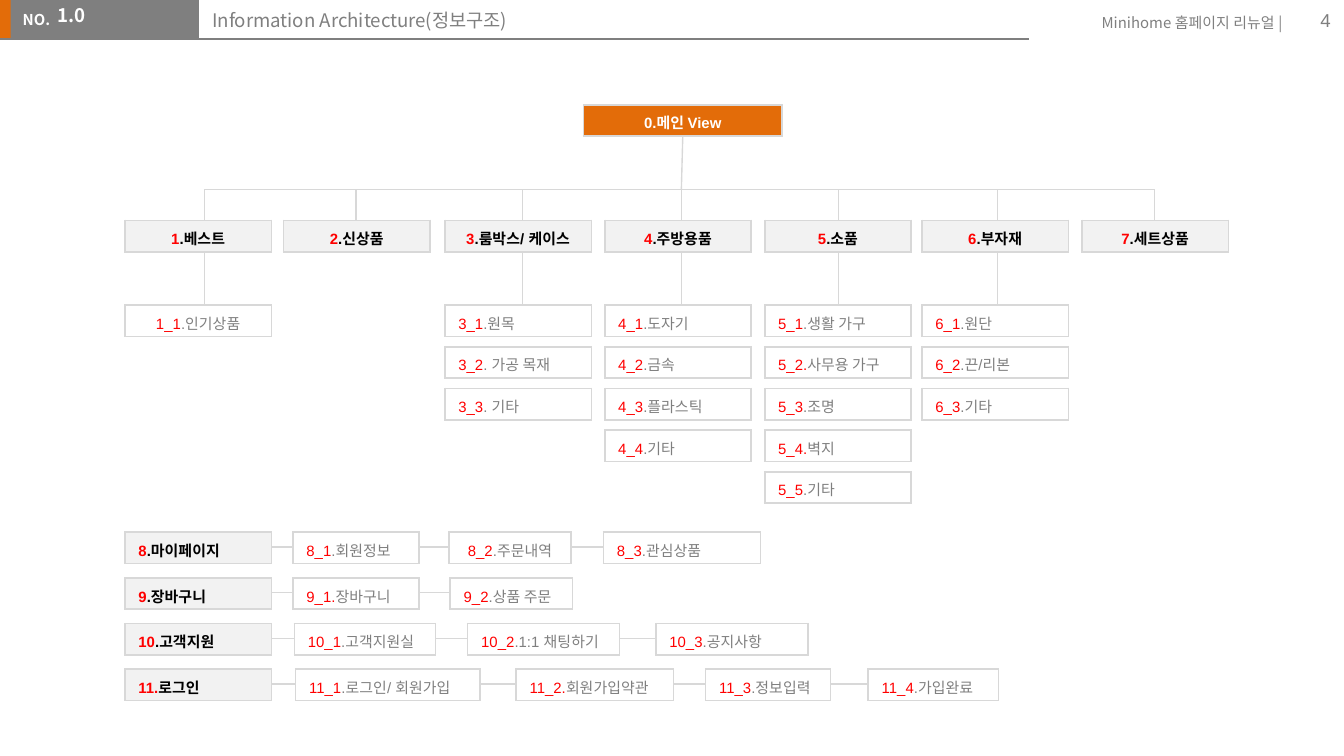
from lxml.etree import SubElement
from pptx import Presentation
from pptx.dml.color import RGBColor
from pptx.enum.shapes import MSO_CONNECTOR, MSO_SHAPE
from pptx.enum.text import MSO_ANCHOR, PP_ALIGN
from pptx.oxml.ns import qn
from pptx.util import Inches, Pt

ORANGE = RGBColor(0xE3, 0x6C, 0x09)
GRAY = RGBColor(0x7F, 0x7F, 0x7F)
PALE = RGBColor(0xF2, 0xF2, 0xF2)
EDGE = RGBColor(0xD8, 0xD8, 0xD8)
RED = RGBColor(0xFF, 0, 0)
BLACK = RGBColor(0, 0, 0)
WHITE = RGBColor(0xFF, 0xFF, 0xFF)
SANS, ARIAL = "Noto Sans CJK KR", "Arial"
LEFT, MID, RIGHT = PP_ALIGN.LEFT, PP_ALIGN.CENTER, PP_ALIGN.RIGHT
CELL_H, ROW_H = 0.23, 0.14

# Each branch: heading, leaves, left offset, stem offset, leaf alignment
TREE = [
    ("1|.베스트", ["1_1|.인기상품"], 0, 0.59, MID),
    ("2|.신상품", [], 1.18, 1.72, LEFT),
    ("3|.룸박스/ 케이스", ["3_1|.원목", "3_2|. 가공 목재", "3_3|. 기타"], 2.38, 2.96, LEFT),
    ("4|.주방용품", ["4_1|.도자기", "4_2|.금속", "4_3|.플라스틱", "4_4|.기타"], 3.57, 4.14, LEFT),
    ("5|.소품", ["5_1|.생활 가구", "5_2.|사무용 가구", "5_3|.조명", "5_4.|벽지",
               "5_5|.기타"], 4.76, 5.31, LEFT),
    ("6|.부자재", ["6_1|.원단", "6_2|.끈/리본", "6_3|.기타"], 5.93, 6.49, LEFT),
    ("7|.세트상품", [], 7.12, 7.66, LEFT),
]
# Each row: heading, steps as (text, left, width, alignment)
ROWS = [
    ("8|.마이페이지", [("8_1|.회원정보", 2.18, 0.94, LEFT), ("8_2|.주문내역", 3.34, 0.91, MID),
                  ("8_3|.관심상품", 4.49, 1.17, LEFT)]),
    ("9|.장바구니", [("9_1.|장바구니", 2.18, 0.94, LEFT), ("9_2|.상품 주문", 3.35, 0.91, LEFT)]),
    ("10|.고객지원", [("10_1|.고객지원실", 2.19, 1.05, LEFT), ("10_2|.1:1 채팅하기", 3.48, 1.13, LEFT),
                  ("10_3|.공지사항", 4.88, 1.13, LEFT)]),
    ("11.|로그인", [("11_1|.로그인/ 회원가입", 2.2, 1.37, LEFT), ("11_2.|회원가입약관", 3.84, 1.17, LEFT),
                 ("11_3|.정보입력", 5.25, 0.93, LEFT), ("11_4|.가입완료", 6.46, 0.97, LEFT)]),
]


def write(par, text, color, size=8, face=ARIAL, bold=False):
    """Add one formatted run to a paragraph."""
    run = par.add_run()
    run.text = text
    for key, val in {"size": Pt(size), "name": face, "bold": bold}.items():
        setattr(run.font, key, val)
    run.font.color.rgb = color
    SubElement(run.font._element, qn("a:ea")).set("typeface", SANS)


def line(slide, x1, y1, x2, y2, color=EDGE):
    """Draw a thin straight line."""
    link = slide.shapes.add_connector(
        MSO_CONNECTOR.STRAIGHT, *map(Inches, (x1, y1, x2, y2)))
    link.line.color.rgb = color
    link.line.width = Pt(0.75)
    SubElement(link._element.spPr, qn("a:effectLst"))


def edge(cell):
    """Give a cell a one point border on every side."""
    props = cell._tc.get_or_add_tcPr()
    for side in ("lnL", "lnR", "lnT", "lnB"):
        rule = SubElement(props, qn("a:" + side), w=str(Pt(1)))
        fill = SubElement(rule, qn("a:solidFill"))
        SubElement(fill, qn("a:srgbClr"), val=str(EDGE))


def node(slide, x, y, w, parts, fill=WHITE, align=LEFT, bold=False):
    """Place a one-cell table holding (text, colour) parts."""
    frame = slide.shapes.add_table(1, 1, *map(Inches, (x, y, w, CELL_H)))
    frame.table.rows[0].height = Inches(ROW_H)
    frame.height = Inches(CELL_H)
    cell = frame.table.cell(0, 0)
    edge(cell)
    cell.fill.solid()
    cell.fill.fore_color.rgb = fill
    par = cell.text_frame.paragraphs[0]
    par.alignment = align
    for text, color in parts:
        write(par, text, color, bold=bold)


def head(slide, x, y, w, text, align):
    """Place a bold section heading."""
    num, name = text.split("|")
    node(slide, x, y, w, [(num, RED), (name, BLACK)], PALE, align, True)


def leaf(slide, x, y, w, text, align):
    """Place a page entry."""
    num, name = text.split("|")
    node(slide, x, y, w, [(num, RED), (name, GRAY)], WHITE, align)


def label(shape, box, text, color, size=8, face=SANS, bold=False, align=LEFT,
          top=0.05, low=0.05, left=0.1, anchor=MSO_ANCHOR.TOP):
    """Move a text shape to its box and fill it."""
    for key, val in zip(("left", "top", "width", "height"), box):
        setattr(shape, key, Inches(val))
    frame = shape.text_frame
    form = {"word_wrap": True, "vertical_anchor": anchor,
            "margin_left": Inches(left), "margin_right": Inches(0.1),
            "margin_top": Inches(top), "margin_bottom": Inches(low)}
    for key, val in form.items():
        setattr(frame, key, val)
    par = frame.paragraphs[0]
    par.alignment = align
    write(par, text, color, size, face, bold)


def banner(slide, w, h):
    """Build the top strip across a width w, of height h."""
    for x, wide, color in ((-0.01, 0.12, ORANGE), (0.08, 1.4, GRAY)):
        bar = slide.shapes.add_shape(
            MSO_SHAPE.RECTANGLE, *map(Inches, (x, 0, wide, h)))
        bar.shadow.inherit = False
        bar.fill.solid()
        bar.fill.fore_color.rgb = color
        bar.line.fill.background()
    line(slide, 0, h, 7.66, h, GRAY)

    def text():
        return slide.shapes.add_textbox(0, 0, 0, 0)
    center = MSO_ANCHOR.MIDDLE
    label(text(), (0.07, 0.03, 0.41, 0.24), "NO.", WHITE, bold=True)
    label(text(), (w - 2, 0.05, 1.64, 0.24), "Minihome 홈페이지 리뉴얼 |", GRAY, align=RIGHT)
    label(text(), (w - 0.6, 0, 0.6, 0.3), "4", GRAY, 10, ARIAL, align=RIGHT, anchor=center)
    label(text(), (0.09, -0.06, 1.1, 0.31), "1.0", WHITE, 10, bold=True,
          top=0.14, low=0.1, left=0.34, anchor=center)
    label(slide.shapes.title, (1.48, -0.03, 5.42, 0.32), "Information Architecture(정보구조)",
          GRAY, 10, top=0.14, low=0.1, anchor=center)


def tree(slide, x, y):
    """Build the main page and its branches from a corner."""
    wide, bus, top, low = 1.09, y + 0.63, y + 0.86, y + 1.49
    node(slide, x + 3.41, y, 1.48, [("0.메인 View", WHITE)], ORANGE, MID, True)
    line(slide, x + 4.15, y + 0.24, x + 4.14, bus)
    line(slide, x + TREE[0][3], bus, x + TREE[-1][3], bus)
    for name, pages, left, stem, align in TREE:
        head(slide, x + left, top, wide, name, MID)
        line(slide, x + stem, bus, x + stem, top)
        if pages:
            line(slide, x + stem, top + CELL_H, x + stem, low)
        for j, page in enumerate(pages):
            leaf(slide, x + left, low + j * 0.31, wide, page, align)


def flows(slide, x, y, step):
    """Build the chained rows below the tree, one step apart."""
    for i, (name, pages) in enumerate(ROWS):
        top = y + i * step
        line(slide, x + 1.09, top + 0.11, pages[-1][1], top + 0.11)
        head(slide, x, top, 1.09, name, LEFT)
        for text, left, wide, align in pages:
            leaf(slide, left, top, wide, text, align)


def main():
    """Build and save the deck."""
    deck = Presentation()
    deck.slide_width = Inches(10)
    deck.slide_height = deck.slide_width * 9 // 16
    slide = deck.slides.add_slide(deck.slide_layouts[5])
    banner(slide, 10, 0.29)
    tree(slide, 0.93, 0.78)
    flows(slide, 0.93, 3.96, 0.34)
    deck.save("out.pptx")


main()
